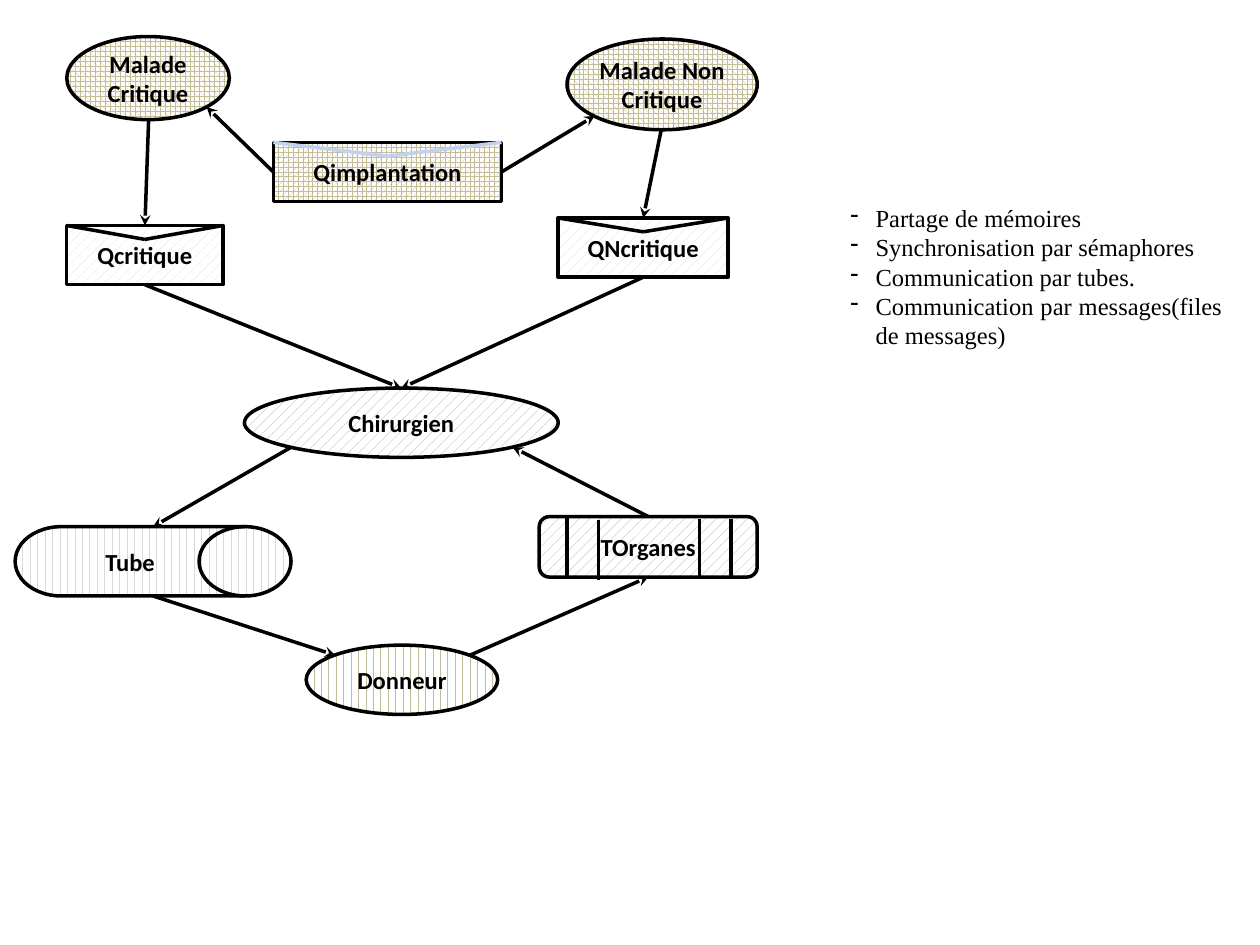
import pptx
import pptx.dml.color
import pptx.enum.dml
import pptx.enum.shapes
import pptx.enum.text
import pptx.oxml
import pptx.oxml.ns
import pptx.util
from pptx.util import Inches

SHAPE = pptx.enum.shapes.MSO_SHAPE
PATTERN = pptx.enum.dml.MSO_PATTERN
ALIGN = pptx.enum.text.PP_ALIGN
TOP, LEFT, BOTTOM, RIGHT = range(4)
BLACK, BEIGE, GREY, PALE_GREY, PALE_BLUE = "000000", "C4BD97", "A6A6A6", "D9D9D9", "C2D1ED"


def colour(code):
    return pptx.dml.color.RGBColor.from_string(code)


def element(tag, **attributes):
    node = pptx.oxml.parse_xml(f"<{tag} {pptx.oxml.ns.nsdecls('a')}/>")
    for name, value in attributes.items():
        node.set(name, str(value))
    return node


def write(para, text, font="Calibri", size=14, bold=False, align=ALIGN.CENTER):
    para.alignment = align
    span = para.add_run()
    span.text = text
    span.font.name = font
    span.font.size = pptx.util.Pt(size)
    span.font.bold = bold
    span.font.color.rgb = colour(BLACK)


class Diagram:
    """Draws on one page with a shared line width."""

    def __init__(self, page, line_width=2):
        self.page = page
        self.line_width = pptx.util.Pt(line_width)

    def node(self, kind, text, place, pattern, ink, parent=None, inset=0):
        shapes = (parent or self.page).shapes
        box = shapes.add_shape(kind, *map(Inches, place))
        box.shadow.inherit = False
        box.fill.patterned()
        box.fill.pattern = pattern
        box.fill.fore_color.rgb = colour(ink)
        box.fill.back_color.rgb = colour("FFFFFF")
        box.line.color.rgb = colour(BLACK)
        box.line.width = self.line_width
        frame = box.text_frame
        frame.word_wrap = True
        frame.vertical_anchor = pptx.enum.text.MSO_ANCHOR.MIDDLE
        frame.margin_left = frame.margin_right = Inches(inset)
        frame.margin_top = frame.margin_bottom = Inches(inset / 2)
        write(frame.paragraphs[0], text, bold=True)
        return box

    def line(self, start, end, ink=BLACK, parent=None):
        shapes = (parent or self.page).shapes
        line = shapes.add_connector(pptx.enum.shapes.MSO_CONNECTOR.STRAIGHT,
                                    *map(Inches, start + end))
        line.line.color.rgb = colour(ink)
        line.line.width = self.line_width
        line._element.spPr.append(element("a:effectLst"))
        return line

    def arrow(self, start, end):
        """Each end is a point, or a shape with the number of its side."""
        ends = [(0, 0) if hasattr(end_part[0], "shape_id") else end_part
                for end_part in (start, end)]
        line = self.line(*ends)
        if ends[0] != start:
            line.begin_connect(*start)
        if ends[1] != end:
            line.end_connect(*end)
        outline = line._element.spPr.find(pptx.oxml.ns.qn("a:ln"))
        outline.append(element("a:tailEnd", type="stealth"))

    def envelope(self, text, place, pattern=PATTERN.PERCENT_20, ink=PALE_GREY, flap=BLACK):
        group = self.page.shapes.add_group_shape()
        box = self.node(SHAPE.RECTANGLE, text, place, pattern, ink, group)
        left, top, width, _ = place
        tip = (left + width / 2, top + 0.11)
        self.line((left, top), tip, flap, group)
        self.line(tip, (left + width, top), flap, group)
        return box

    def table_of_organs(self, text, place):
        group = self.page.shapes.add_group_shape()
        box = self.node(SHAPE.ROUNDED_RECTANGLE, text, place, PATTERN.PERCENT_20, GREY, group)
        for x, top in ((4.5, 4.1), (4.75, 4.13), (5.55, 4.12), (5.8, 4.12)):
            self.line((x, top + 0.47), (x, top), parent=group)
        return box

    def dash_list(self, items, place):
        box = self.page.shapes.add_textbox(*map(Inches, place))
        frame = box.text_frame
        frame.word_wrap = True
        for index, item in enumerate(items):
            para = frame.add_paragraph() if index else frame.paragraphs[0]
            write(para, item, font="Times New Roman", align=ALIGN.JUSTIFY)
            properties = para._p.get_or_add_pPr()
            properties.set("marL", str(Inches(0.2)))
            properties.set("indent", str(Inches(-0.2)))
            properties.append(element("a:buChar", char="-"))


def main():
    deck = pptx.Presentation()
    deck.slide_width, deck.slide_height = Inches(10), Inches(7.5)
    diagram = Diagram(deck.slides.add_slide(deck.slide_layouts[6]))

    diagram.node(SHAPE.OVAL, "Malade Critique", (0.53, 0.29, 1.29, 0.66), PATTERN.SPHERE, BEIGE)
    diagram.node(SHAPE.OVAL, "Malade Non Critique", (4.5, 0.31, 1.51, 0.72),
                 PATTERN.SPHERE, BEIGE)
    diagram.node(SHAPE.OVAL, "Donneur", (2.43, 5.12, 1.52, 0.55), PATTERN.DASHED_VERTICAL, BEIGE)
    surgeon = diagram.node(SHAPE.OVAL, "Chirurgien", (1.94, 3.08, 2.49, 0.55),
                           PATTERN.PERCENT_20, GREY)
    tube = diagram.node(SHAPE.FLOWCHART_DIRECT_ACCESS_STORAGE, "Tube", (0.12, 4.18, 2.19, 0.55),
                        PATTERN.DASHED_VERTICAL, PALE_GREY, inset=0.1)
    critical = diagram.envelope("Qcritique", (0.53, 1.79, 1.24, 0.47))
    non_critical = diagram.envelope("QNcritique", (4.43, 1.73, 1.35, 0.47))
    implant = diagram.envelope("Qimplantation", (2.17, 1.13, 1.81, 0.47),
                               PATTERN.SPHERE, BEIGE, PALE_BLUE)
    organs = diagram.table_of_organs("TOrganes", (4.28, 4.1, 1.73, 0.48))

    for start, end in (
        ((implant, LEFT), (1.64, 0.85)),
        ((implant, RIGHT), (4.72, 0.92)),
        ((1.18, 0.94), (critical, TOP)),
        ((5.25, 1.02), (non_critical, TOP)),
        ((critical, BOTTOM), (surgeon, TOP)),
        ((non_critical, BOTTOM), (surgeon, TOP)),
        ((2.31, 3.55), (tube, TOP)),
        ((tube, BOTTOM), (2.66, 5.2)),
        ((3.73, 5.2), (organs, BOTTOM)),
        ((organs, TOP), (4.07, 3.55)),
    ):
        diagram.arrow(start, end)

    diagram.dash_list(
        ("Partage de mémoires", "Synchronisation par sémaphores", "Communication par tubes.",
         "Communication par messages(files de messages)"),
        (6.65, 1.56, 3.15, 1.28))
    deck.save("out.pptx")


if __name__ == "__main__":
    main()
